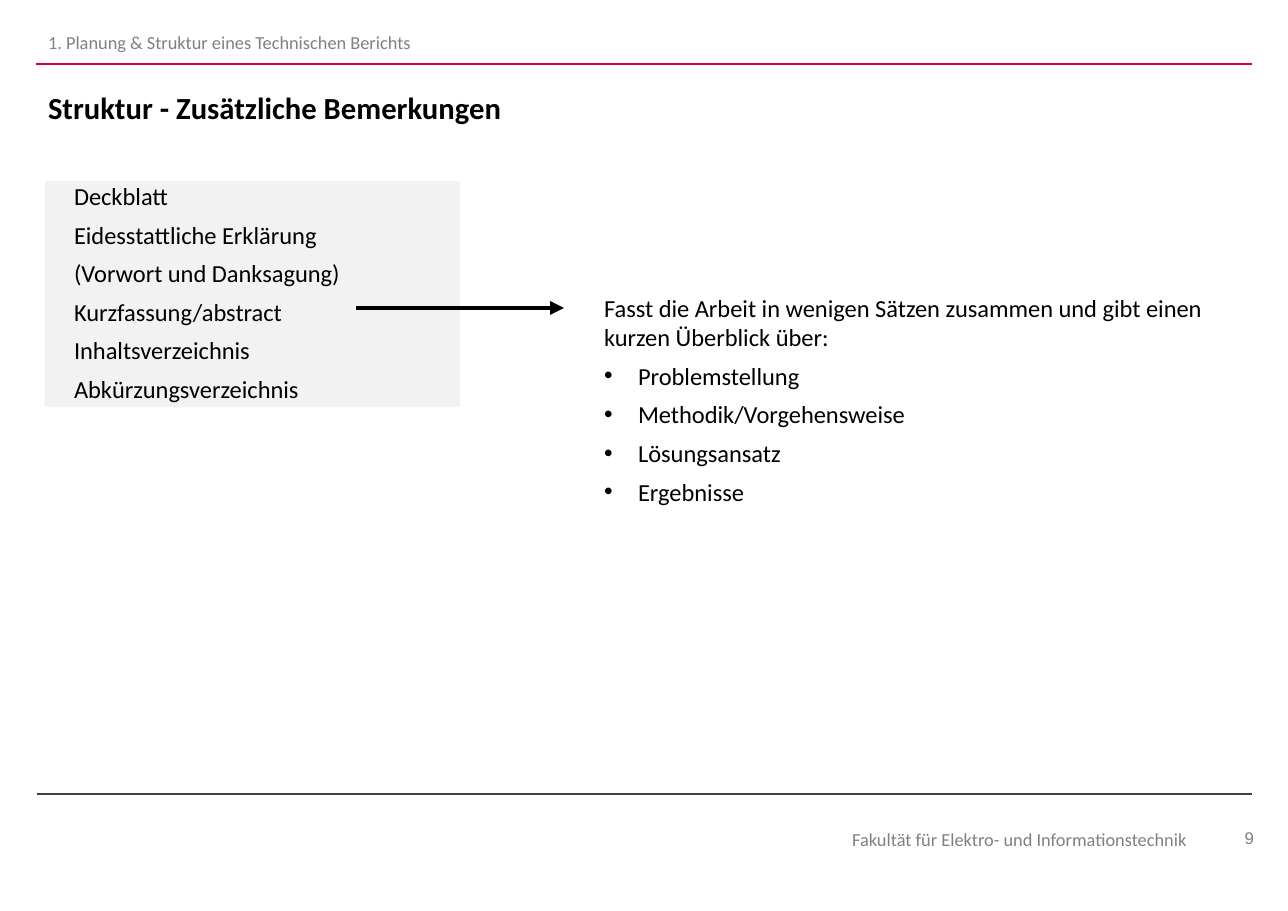
from lxml import etree
from pptx import Presentation
from pptx.dml.color import RGBColor
from pptx.enum.shapes import MSO_CONNECTOR, MSO_SHAPE
from pptx.enum.text import MSO_ANCHOR, MSO_AUTO_SIZE, PP_ALIGN
from pptx.oxml.ns import qn
from pptx.util import Pt

STRAIGHT, RECT = MSO_CONNECTOR.STRAIGHT, MSO_SHAPE.RECTANGLE
TOP, MIDDLE = MSO_ANCHOR.TOP, MSO_ANCHOR.MIDDLE
LEFT, RIGHT = PP_ALIGN.LEFT, PP_ALIGN.RIGHT
NO_FIT = MSO_AUTO_SIZE.NONE

COLORS = {"text": "000000", "muted": "808080", "panel": "F2F2F2",
          "accent": "DB0031", "footer_rule": "404040"}

CHAPTER = "1. Planung & Struktur eines Technischen Berichts"
TITLE = "Struktur - Zusätzliche Bemerkungen"
FACULTY = "Fakultät für Elektro- und Informationstechnik"
PAGE = "9"
SECTIONS = ["Deckblatt", "Eidesstattliche Erklärung", "(Vorwort und Danksagung)",
            "Kurzfassung/abstract", "Inhaltsverzeichnis", "Abkürzungsverzeichnis"]
ABSTRACT = "Fasst die Arbeit in wenigen Sätzen zusammen und gibt einen kurzen Überblick über:"
ABSTRACT_POINTS = ["Problemstellung", "Methodik/Vorgehensweise", "Lösungsansatz", "Ergebnisse"]

STYLES = {
    "title": {"size": Pt(20), "name": "Calibri", "bold": True},
    "body": {"size": Pt(16), "name": "Calibri", "bold": False},
    "small": {"size": Pt(12), "name": "Calibri", "bold": False},
    "page": {"size": Pt(11), "name": "Arial", "bold": False},
}
RULES = [(36, 64, 1252, 64, "accent", 0.75, False),
         (1252, 794, 37, 794, "footer_rule", 0.75, False),
         (356, 308, 564, 308, "text", 3, True)]
PANEL = (45, 181, 415, 226)
BULLET_INDENT = 34


def px(n):
    return n * 8298


def fill_text(sp, box, items, style, color="text", align=LEFT, anchor=TOP):
    sp.left, sp.top, sp.width, sp.height = map(px, box)
    tf = sp.text_frame
    frame = {"word_wrap": True, "auto_size": NO_FIT, "vertical_anchor": anchor,
             "margin_left": px(12), "margin_right": px(12),
             "margin_top": px(6), "margin_bottom": px(6)}
    for key, value in frame.items():
        setattr(tf, key, value)
    for i, (text, bullet) in enumerate(items):
        p = tf.paragraphs[0] if i == 0 else tf.add_paragraph()
        p.alignment = align
        p.space_before = Pt(6 if i else 0)
        pPr = p._p.get_or_add_pPr()
        indent = px(BULLET_INDENT) if bullet else 0
        pPr.set("marL", str(indent))
        pPr.set("indent", str(-indent))
        if bullet:
            etree.SubElement(pPr, qn("a:buFont")).set("typeface", "Arial")
            etree.SubElement(pPr, qn("a:buChar")).set("char", "•")
        else:
            etree.SubElement(pPr, qn("a:buNone"))
        r = p.add_run()
        r.text = text
        for key, value in STYLES[style].items():
            setattr(r.font, key, value)
        r.font.color.rgb = RGBColor.from_string(COLORS[color])


def add_rule(shapes, x1, y1, x2, y2, color, width, arrow):
    line = shapes.add_connector(STRAIGHT, *map(px, (x1, y1, x2, y2)))
    line.line.color.rgb = RGBColor.from_string(COLORS[color])
    line.line.width = Pt(width)
    if arrow:
        etree.SubElement(line.line._get_or_add_ln(), qn("a:tailEnd")).set("type", "triangle")
    etree.SubElement(line._element.spPr, qn("a:effectLst"))


def main():
    prs = Presentation()
    prs.slide_width, prs.slide_height = px(1288), px(911)
    slide = prs.slides.add_slide(prs.slide_layouts[3])
    shapes = slide.shapes
    title, sections, abstract = slide.placeholders

    panel = shapes.add_shape(RECT, *map(px, PANEL))
    panel.shadow.inherit = False
    panel.fill.solid()
    panel.fill.fore_color.rgb = RGBColor.from_string(COLORS["panel"])
    panel.line.fill.background()
    shapes._spTree.insert(2, panel._element)

    fill_text(title, (36, 86, 1214, 43), [(TITLE, False)], "title", anchor=MIDDLE)
    fill_text(sections, (62, 175, 399, 237), [(s, False) for s in SECTIONS], "body")
    fill_text(abstract, (592, 287, 677, 228),
              [(ABSTRACT, False)] + [(s, True) for s in ABSTRACT_POINTS], "body")

    for text, box, style, align, anchor in [
        (CHAPTER, (36, 21, 1214, 43), "small", LEFT, MIDDLE),
        (FACULTY, (488, 822, 711, 35), "small", RIGHT, TOP),
        (PAGE, (1200, 822, 66, 33), "page", RIGHT, TOP),
    ]:
        sp = shapes.add_textbox(*map(px, box))
        fill_text(sp, box, [(text, False)], style, "muted", align, anchor)

    for rule in RULES:
        add_rule(shapes, *rule)
    prs.save("out.pptx")


if __name__ == "__main__":
    main()
